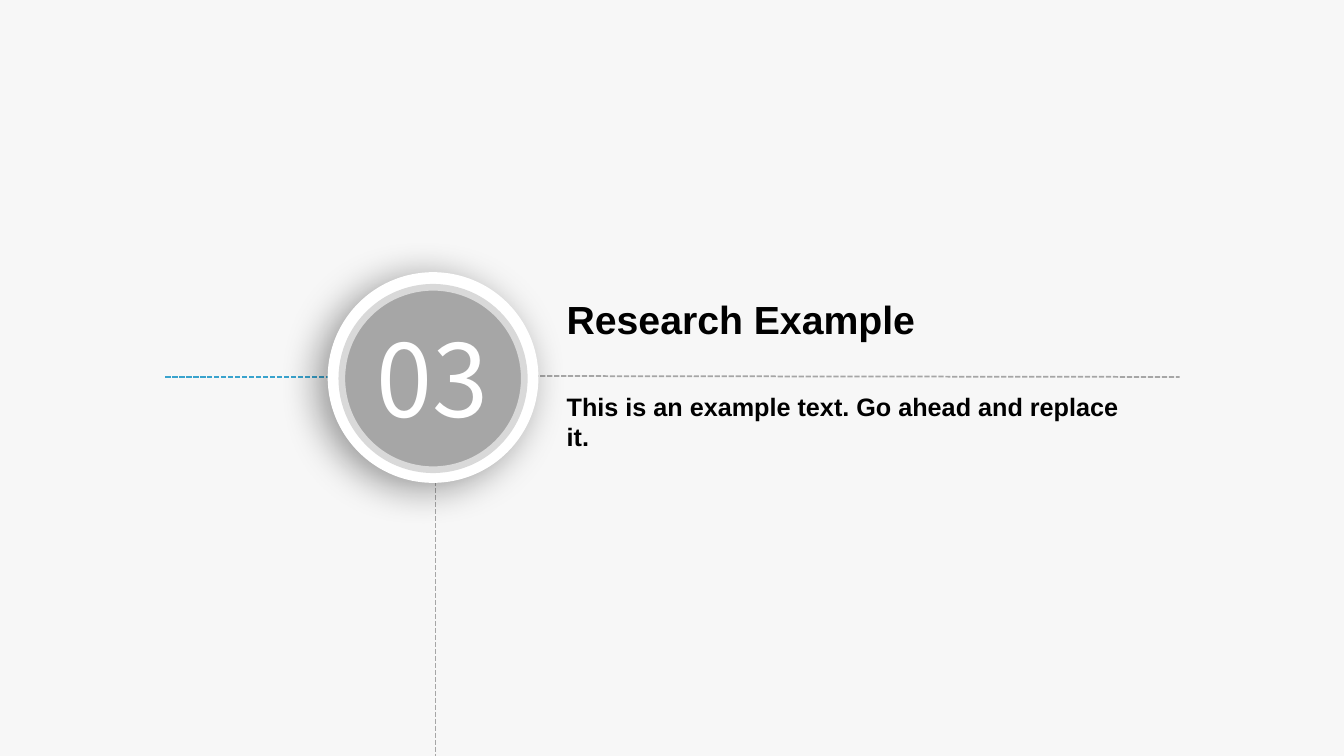
"""Build the section slide that introduces the research example."""
from dataclasses import dataclass

from lxml import etree
from pptx import Presentation
from pptx.dml.color import RGBColor
from pptx.enum.dml import MSO_LINE
from pptx.enum.shapes import MSO_CONNECTOR, MSO_SHAPE
from pptx.enum.text import MSO_ANCHOR, MSO_AUTO_SIZE, PP_ALIGN
from pptx.oxml import parse_xml
from pptx.oxml.ns import nsdecls, qn
from pptx.util import Inches, Pt

STRAIGHT = MSO_CONNECTOR.STRAIGHT
OVAL = MSO_SHAPE.OVAL
DASH = MSO_LINE.SQUARE_DOT
MIDDLE = MSO_ANCHOR.MIDDLE
NO_AUTOFIT = MSO_AUTO_SIZE.NONE
LEFT, CENTER = PP_ALIGN.LEFT, PP_ALIGN.CENTER


@dataclass(frozen=True)
class Theme:
    background: RGBColor = RGBColor(0xF7, 0xF7, 0xF7)
    white: RGBColor = RGBColor(0xFF, 0xFF, 0xFF)
    black: RGBColor = RGBColor(0x00, 0x00, 0x00)
    gray: RGBColor = RGBColor(0xA6, 0xA6, 0xA6)
    light_gray: RGBColor = RGBColor(0xD9, 0xD9, 0xD9)
    blue: RGBColor = RGBColor(0x39, 0xA3, 0xCD)
    text_font: str = "Arial"
    number_font: str = "Noto Sans CJK JP"
    number_size: Pt = Pt(72)
    title_size: Pt = Pt(28)
    body_size: Pt = Pt(18)


theme = Theme()


def write_text(shape, text, box, margin, alignment, font_name, size, color, bold):
    shape.left, shape.top, shape.width, shape.height = map(Inches, box)
    frame = shape.text_frame
    frame.word_wrap = True
    frame.auto_size = NO_AUTOFIT
    frame.vertical_anchor = MIDDLE
    frame.margin_left = frame.margin_right = Inches(margin)
    frame.margin_top = frame.margin_bottom = Inches(margin)
    frame.text = text
    paragraph = frame.paragraphs[0]
    paragraph.alignment = alignment
    paragraph.space_before = Pt(0)
    font = paragraph.font
    font.name, font.size, font.bold = font_name, size, bold
    font.color.rgb = color


def add_disc(shapes, left, top, diameter, color):
    disc = shapes.add_shape(OVAL, Inches(left), Inches(top), Inches(diameter), Inches(diameter))
    disc.shadow.inherit = False
    disc.fill.solid()
    disc.fill.fore_color.rgb = color
    disc.line.fill.background()
    return disc


presentation = Presentation()
presentation.slide_width = Inches(13.33)
presentation.slide_height = Inches(7.5)
slide = presentation.slides.add_slide(presentation.slide_layouts[0])
slide.background.fill.solid()
slide.background.fill.fore_color.rgb = theme.background

guides = [
    ((4.32, 4.22), (4.32, 7.5), theme.gray),
    ((5.01, 3.73), (11.7, 3.74), theme.gray),
    ((1.64, 3.74), (3.61, 3.74), theme.blue),
]
for start, end, color in guides:
    guide = slide.shapes.add_connector(STRAIGHT, *map(Inches, start + end))
    guide.line.color.rgb = color
    guide.line.width = Pt(1.25)
    guide.line.dash_style = DASH
    etree.SubElement(guide._element.spPr, qn("a:effectLst"))

outer_disc = add_disc(slide.shapes, 3.25, 2.7, 2.09, theme.white)
outer_disc._element.spPr.find(qn("a:effectLst")).append(parse_xml(
    f'<a:outerShdw {nsdecls("a")} blurRad="{Pt(28)}" dist="{Pt(8)}" dir="{150 * 60000}" '
    'algn="ctr" rotWithShape="0"><a:srgbClr val="000000"><a:alpha val="40000"/>'
    '</a:srgbClr></a:outerShdw>'
))

badge = slide.shapes.add_group_shape()
inner_disc = add_disc(badge.shapes, 3.39, 2.85, 1.81, theme.gray)
inner_disc.line.color.rgb = theme.light_gray
inner_disc.line.width = Pt(4.75)
number = badge.shapes.add_textbox(0, 0, 0, 0)
write_text(number, "03", (3.65, 3.15, 1.28, 1.19), 0, CENTER,
           theme.number_font, theme.number_size, theme.white, False)

title, subtitle = slide.placeholders
write_text(title, "Research Example", (5.57, 2.9, 5.39, 0.53), 0.05, LEFT,
           theme.text_font, theme.title_size, theme.black, True)
write_text(subtitle, "This is an example text. Go ahead and replace it.",
           (5.57, 3.84, 5.78, 0.68), 0.05, LEFT,
           theme.text_font, theme.body_size, theme.black, True)

presentation.save("out.pptx")
